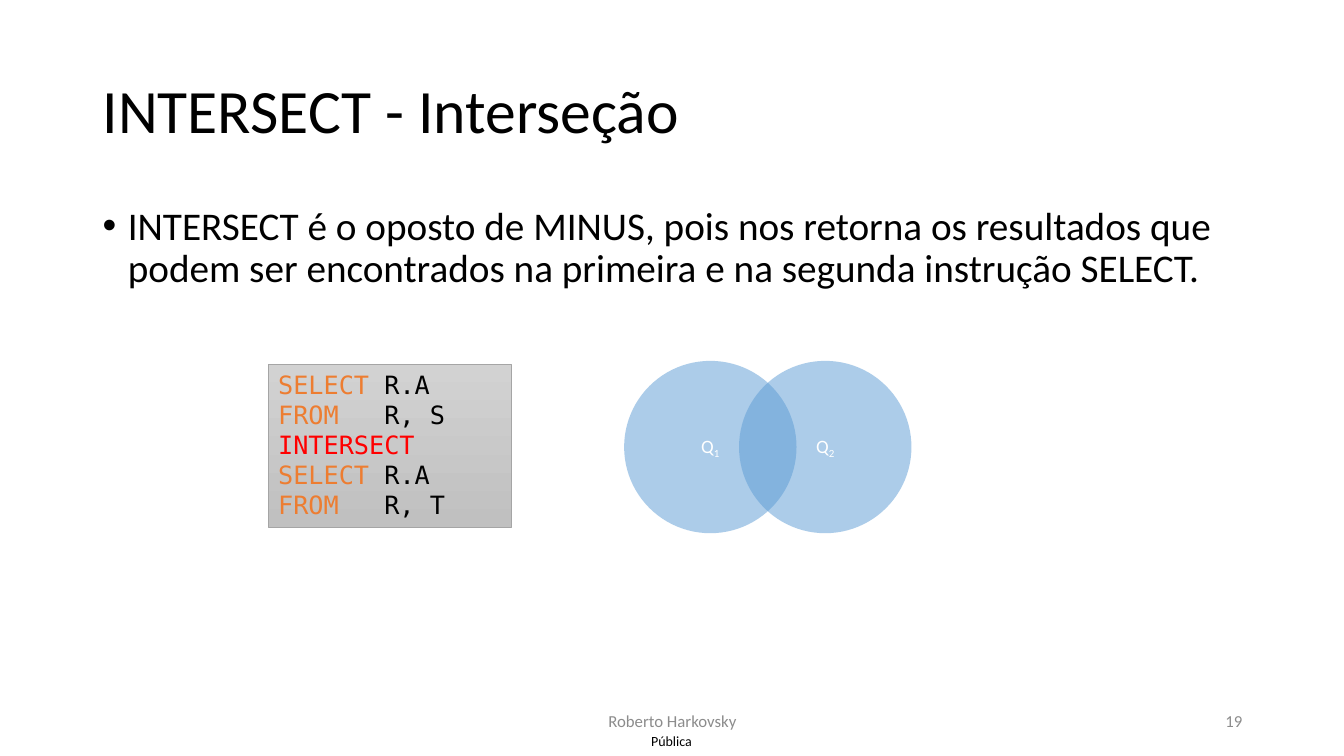
"""Build the slide on the SQL INTERSECT operator."""
from lxml import etree
from pptx import Presentation
from pptx import util as u
from pptx.dml.color import RGBColor
from pptx.enum import shapes, text
from pptx.oxml.ns import qn

LEFT, CENTER, RIGHT = text.PP_ALIGN.LEFT, text.PP_ALIGN.CENTER, text.PP_ALIGN.RIGHT
TOP, MIDDLE = text.MSO_ANCHOR.TOP, text.MSO_ANCHOR.MIDDLE


def rgb(value):
    return RGBColor.from_string(value)


def add_text(s, box, content, size, color="000000", align=LEFT, anchor=MIDDLE):
    tf = s.shapes.add_textbox(*map(u.Inches, box)).text_frame
    tf.word_wrap = True
    tf.vertical_anchor = anchor
    p = tf.paragraphs[0]
    p.text = content
    p.alignment = align
    p.font.name = "Calibri"
    p.font.size = u.Pt(size)
    p.font.color.rgb = rgb(color)
    return tf


prs = Presentation()
prs.slide_width, prs.slide_height = u.Inches(13.33), u.Inches(7.5)
s = prs.slides.add_slide(prs.slide_layouts[6])

label = add_text(s, (6.31, 7.21, 0.7, 0.29), "Pública", 10, align=CENTER)
label.margin_left = label.margin_right = label.margin_top = label.margin_bottom = 0

title = add_text(s, (0.92, 0.4, 11.5, 1.45), "INTERSECT - Interseção", 44)
title.paragraphs[0].line_spacing = 0.9

body = add_text(
    s, (0.92, 2, 11.5, 1.77),
    "INTERSECT é o oposto de MINUS, pois nos retorna os resultados que "
    "podem ser encontrados na primeira e na segunda instrução SELECT.",
    28, anchor=TOP)
p = body.paragraphs[0]
p.line_spacing = 0.9
pPr = p._p.get_or_add_pPr()
pPr.set("marL", str(u.Inches(0.25)))
pPr.set("indent", str(u.Inches(-0.25)))
bullet_font = etree.Element(qn("a:buFont"), typeface="Arial")
bullet = etree.Element(qn("a:buChar"), char="•")
pPr.find(qn("a:lnSpc")).addnext(bullet_font)
bullet_font.addnext(bullet)

add_text(s, (4.42, 6.95, 4.5, 0.4), "Roberto Harkovsky", 12, "8C8C8C", CENTER)
add_text(s, (9.42, 6.95, 3, 0.4), "19", 12, "8C8C8C", RIGHT)

sp = s.shapes.add_shape(shapes.MSO_SHAPE.RECTANGLE,
                        *map(u.Inches, (2.66, 3.61, 2.41, 1.62)))
sp.shadow.inherit = False
sp.fill.gradient()
sp.fill.gradient_angle = 270
for stop, color, position in zip(sp.fill.gradient_stops, ("D2D2D2", "C0C0C0"), (0, 1)):
    stop.color.rgb = rgb(color)
    stop.position = position
sp.line.color.rgb = rgb("A5A5A5")
sp.line.width = u.Pt(0.5)
tf = sp.text_frame
tf.word_wrap = True
tf.vertical_anchor = TOP
code = [
    [("SELECT", "ED7D31"), (" R.A", "000000")],
    [("FROM", "ED7D31"), ("   R, S", "000000")],
    [("INTERSECT", "FF0000")],
    [("SELECT", "ED7D31"), (" R.A", "000000")],
    [("FROM", "ED7D31"), ("   R, T", "000000")],
]
for i, line in enumerate(code):
    p = tf.add_paragraph() if i else tf.paragraphs[0]
    p.alignment = LEFT
    p.font.name = "DejaVu Sans Mono"
    p.font.size = u.Pt(18)
    for word, color in line:
        r = p.add_run()
        r.text = word
        r.font.color.rgb = rgb(color)

for i in range(2):
    sp = s.shapes.add_shape(shapes.MSO_SHAPE.OVAL,
                            *map(u.Inches, (6.19 + 1.14 * i, 3.58, 1.71, 1.71)))
    sp.shadow.inherit = False
    sp.fill.solid()
    sp.fill.fore_color.rgb = rgb("5B9BD5")
    fill_color = sp._element.spPr.find(qn("a:solidFill")).find(qn("a:srgbClr"))
    etree.SubElement(fill_color, qn("a:alpha"), val="50000")
    sp.line.fill.background()
    tf = sp.text_frame
    tf.vertical_anchor = MIDDLE
    p = tf.paragraphs[0]
    p.alignment = CENTER
    p.font.name = "Calibri"
    p.font.size = u.Pt(13.5)
    p.font.color.rgb = rgb("FFFFFF")
    p.add_run().text = "Q"
    r = p.add_run()
    r.text = str(i + 1)
    r.font._element.set("baseline", "-25000")

prs.save("out.pptx")
